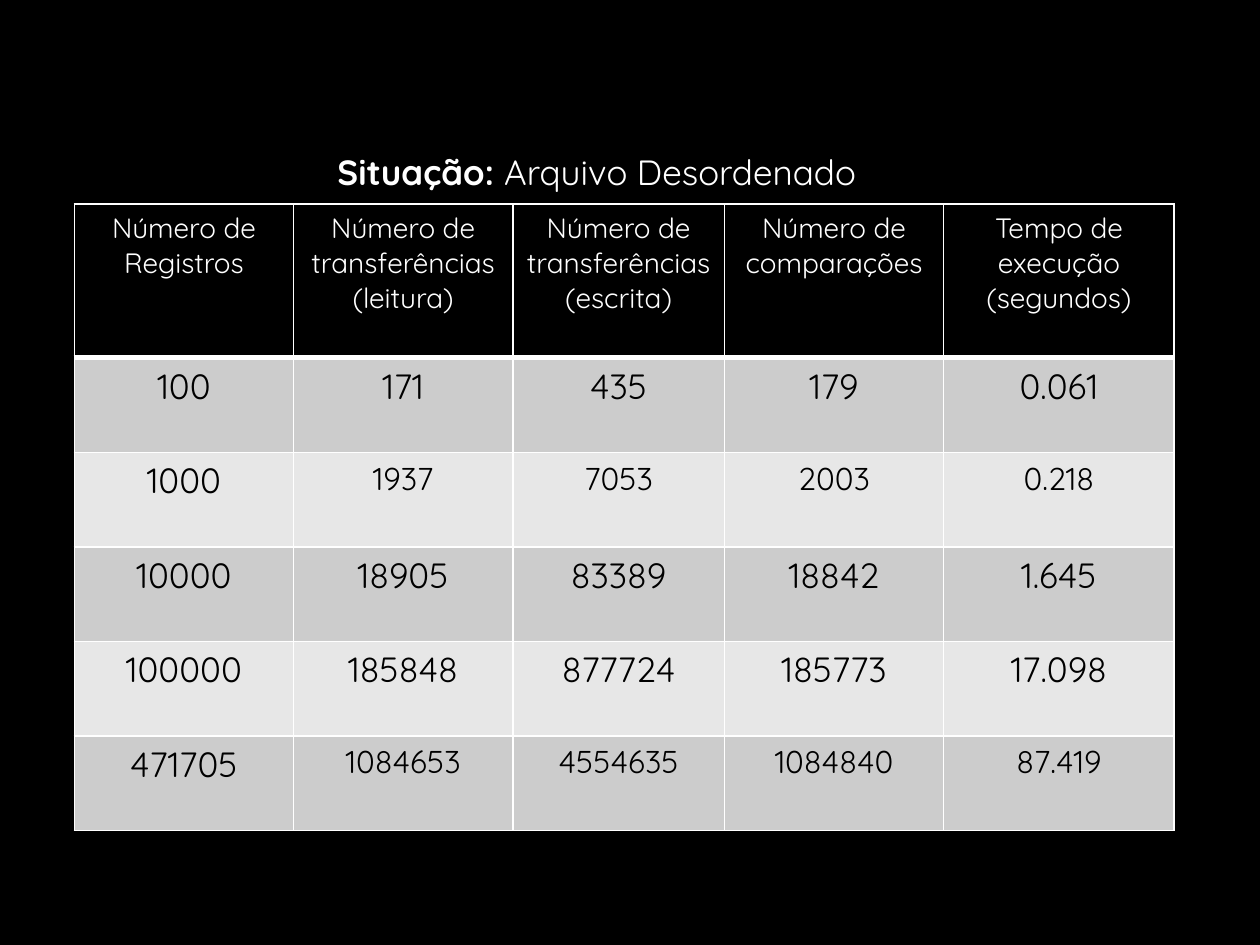
import pptx
import pptx.util
import pptx.dml.color
import pptx.enum.text
import pptx.oxml
import pptx.oxml.ns

Inches = pptx.util.Inches
Pt = pptx.util.Pt
RGBColor = pptx.dml.color.RGBColor
CENTER = pptx.enum.text.PP_ALIGN.CENTER

BLACK = RGBColor(0x00, 0x00, 0x00)
WHITE = RGBColor(0xFF, 0xFF, 0xFF)
DARK = RGBColor(0xCC, 0xCC, 0xCC)
LIGHT = RGBColor(0xE7, 0xE7, 0xE7)
FACE = "Quicksand"

rows = [
    ["Número de Registros", "Número de transferências\n(leitura)",
     "Número de transferências\n(escrita)", "Número de comparações",
     "Tempo de execução\n(segundos)"],
    ["100", "171", "435", "179", "0.061"],
    ["1000", "1937", "7053", "2003", "0.218"],
    ["10000", "18905", "83389", "18842", "1.645"],
    ["100000", "185848", "877724", "185773", "17.098"],
    ["471705", "1084653", "4554635", "1084840", "87.419"],
]
widths = [1.74, 1.74, 1.68, 1.74, 1.83]
heights = [1.22] + [0.75] * 5
small = [2, 5]


def style(font, size, color):
    font.name = FACE
    font.size = Pt(size)
    font.color.rgb = color


def border(cell, side, width):
    cell._tc.get_or_add_tcPr().append(pptx.oxml.parse_xml(
        f'<a:{side} {pptx.oxml.ns.nsdecls("a")} w="{Pt(width)}">'
        f'<a:solidFill><a:srgbClr val="{WHITE}"/></a:solidFill></a:{side}>'))


deck = pptx.Presentation()
deck.slide_width = Inches(10)
deck.slide_height = Inches(7.5)
slide = deck.slides.add_slide(deck.slide_layouts[6])
slide.background.fill.solid()
slide.background.fill.fore_color.rgb = BLACK

table = slide.shapes.add_table(
    len(rows), len(widths), Inches(0.59), Inches(1.62),
    Inches(8.74), Inches(4.96)).table
for col, width in zip(table.columns, widths):
    col.width = Inches(width)
for row, height in zip(table.rows, heights):
    row.height = Inches(height)

for r, texts in enumerate(rows):
    head = r == 0
    fill = BLACK if head else DARK if r % 2 else LIGHT
    for c, text in enumerate(texts):
        cell = table.cell(r, c)
        cell.margin_left = cell.margin_right = Inches(0.07)
        cell.margin_top = cell.margin_bottom = Inches(0.05)
        for side in ("lnL", "lnR", "lnT", "lnB"):
            border(cell, side, 3 if head and side == "lnB" else 1)
        cell.fill.solid()
        cell.fill.fore_color.rgb = fill
        cell.text = text
        size = 16 if head else 18 if r in small and c else 20
        for para in cell.text_frame.paragraphs:
            para.alignment = CENTER
            style(para.font, size, WHITE if head else BLACK)

title = slide.shapes.add_textbox(
    Inches(2.58), Inches(0.98), Inches(4.64), Inches(0.61)).text_frame
title.word_wrap = False
title.auto_size = pptx.enum.text.MSO_AUTO_SIZE.SHAPE_TO_FIT_TEXT
para = title.paragraphs[0]
para.line_spacing = 1.5
style(para.font, 20, WHITE)
for text, bold in [("Situação: ", True), ("Arquivo Desordenado", False)]:
    run = para.add_run()
    run.text = text
    run.font.bold = bold

deck.save("out.pptx")
